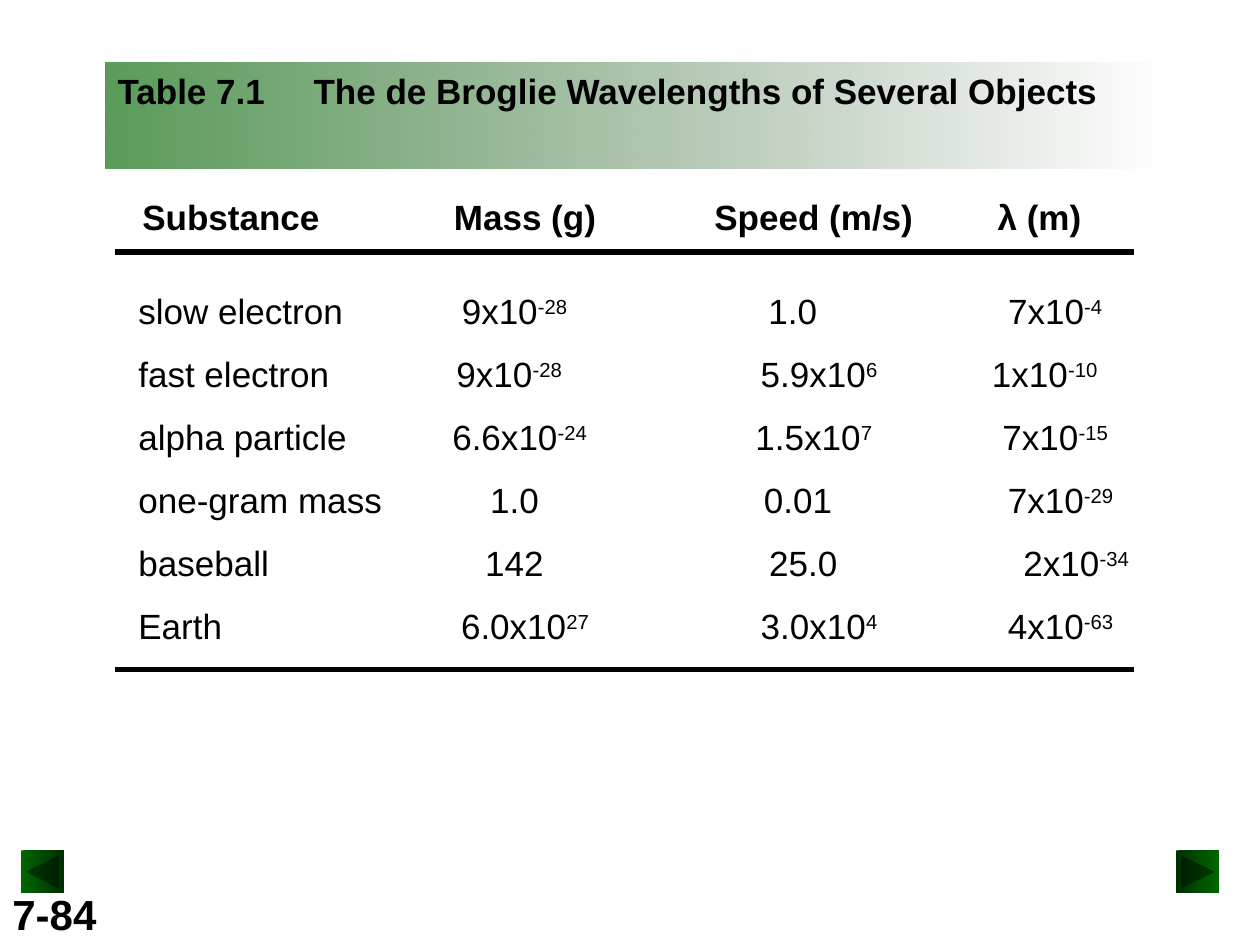
from lxml import etree
from pptx import Presentation
from pptx.dml.color import RGBColor
from pptx.enum.shapes import MSO_CONNECTOR, MSO_SHAPE
from pptx.enum.text import MSO_ANCHOR, MSO_AUTO_SIZE, PP_ALIGN
from pptx.oxml.ns import qn
from pptx.util import Pt

LEFT, CENTER = PP_ALIGN.LEFT, PP_ALIGN.CENTER
TOP = MSO_ANCHOR.TOP
GROW = MSO_AUTO_SIZE.SHAPE_TO_FIT_TEXT
BACK = MSO_SHAPE.ACTION_BUTTON_BACK_OR_PREVIOUS
NEXT = MSO_SHAPE.ACTION_BUTTON_FORWARD_OR_NEXT
STRAIGHT = MSO_CONNECTOR.STRAIGHT

FONT = "Arial"
COLORS = {"ink": "000000", "green": "006600", "dark": "002F00"}
ROW_TOP, ROW_STEP, ROW_HIGH = 162, 36, 31

HEADS = [
    ("Substance", 72, 120),
    ("Mass (g)", 240, 120),
    ("Speed (m/s)", 396, 138),
    ("λ (m)", 552, 84),
]
NAMES = [
    ("slow electron", 72, 150),
    ("fast electron", 72, 150),
    ("alpha particle", 72, 150),
    ("one-gram mass", 72, 156),
    ("baseball", 72, 150),
    ("Earth", 72, 150),
]
MASSES = [
    ("9x10^-28", 252, 84),
    ("9x10^-28", 252, 78),
    ("6.6x10^-24", 246, 102),
    ("1.0", 270, 48),
    ("142", 270, 48),
    ("6.0x10^27", 252, 96),
]
SPEEDS = [
    ("1.0", 432, 60),
    ("5.9x10^6", 420, 96),
    ("1.5x10^7", 420, 90),
    ("0.01", 426, 60),
    ("25.0", 432, 54),
    ("3.0x10^4", 420, 96),
]
WAVES = [
    ("7x10^-4", 564, 78),
    ("1x10^-10", 558, 78),
    ("7x10^-15", 564, 78),
    ("7x10^-29", 564, 84),
    ("2x10^-34", 564, 102),
    ("4x10^-63", 564, 84),
]


def color(name):
    return RGBColor.from_string(COLORS[name])


def write(shape, text, size=20, bold=False, align=LEFT, tab=None):
    frame = shape.text_frame
    frame.word_wrap = True
    frame.auto_size = GROW
    frame.vertical_anchor = TOP
    para = frame.paragraphs[0]
    if tab:
        stops = etree.SubElement(para._p.get_or_add_pPr(), qn("a:tabLst"))
        etree.SubElement(stops, qn("a:tab"), pos=str(Pt(tab)), algn="l")
    para.alignment = align
    base, _, power = text.partition("^")
    for part in filter(None, (base, power)):
        run = para.add_run()
        run.text = part
        font = run.font
        font.name, font.size, font.bold = FONT, Pt(size), bold
        font.color.rgb = color("ink")
    if power:
        run._r.get_or_add_rPr().set("baseline", "30000")


def label(slide, text, left, top, width, height=ROW_HIGH, **style):
    box = slide.shapes.add_textbox(Pt(left), Pt(top), Pt(width), Pt(height))
    write(box, text, **style)


def shade(shape, names, alphas=()):
    fill = shape.fill
    fill.gradient()
    fill.gradient_angle = 0
    for stop, name in zip(fill.gradient_stops, names):
        stop.color.rgb = color(name)
    tints = shape._element.spPr.iter(qn("a:srgbClr"))
    for tint, alpha in zip(list(tints), alphas):
        etree.SubElement(tint, qn("a:alpha"), val=str(alpha * 1000))


def title(slide, text):
    shape = slide.shapes.title
    shape.left, shape.top = Pt(60), Pt(36)
    shape.width, shape.height = Pt(606), Pt(ROW_HIGH)
    shade(shape, ("green", "dark"), (65, 0))
    write(shape, text, bold=True, tab=112)


def button(slide, kind, left, names):
    shape = slide.shapes.add_shape(kind, Pt(left), Pt(486), Pt(24.5), Pt(24.5))
    shape.shadow.inherit = False
    shape.line.fill.background()
    shade(shape, names)


def rule(slide, top):
    line = slide.shapes.add_connector(STRAIGHT, Pt(66), Pt(top), Pt(648), Pt(top))
    line.line.color.rgb = color("ink")
    line.line.width = Pt(3)
    etree.SubElement(line._element.spPr, qn("a:effectLst"))


def column(slide, cells, align=CENTER):
    for row, (text, left, width) in enumerate(cells):
        side = LEFT if cells is SPEEDS and row == 0 else align
        label(slide, text, left, ROW_TOP + row * ROW_STEP, width, align=side)


def main():
    deck = Presentation()
    deck.slide_width, deck.slide_height = Pt(720), Pt(540)
    slide = deck.slides.add_slide(deck.slide_layouts[5])
    label(slide, "7-84", 0, 504, 66, 36, size=24, bold=True)
    button(slide, BACK, 12, ("green", "dark"))
    button(slide, NEXT, 672, ("dark", "green"))
    title(slide, "Table 7.1\tThe de Broglie Wavelengths of Several Objects")
    for text, left, width in HEADS:
        label(slide, text, left, 108, width, bold=True, align=CENTER)
    column(slide, NAMES, LEFT)
    for cells in (MASSES, SPEEDS, WAVES):
        column(slide, cells)
    for top in (144, 382.5):
        rule(slide, top)
    deck.save("out.pptx")


if __name__ == "__main__":
    main()
